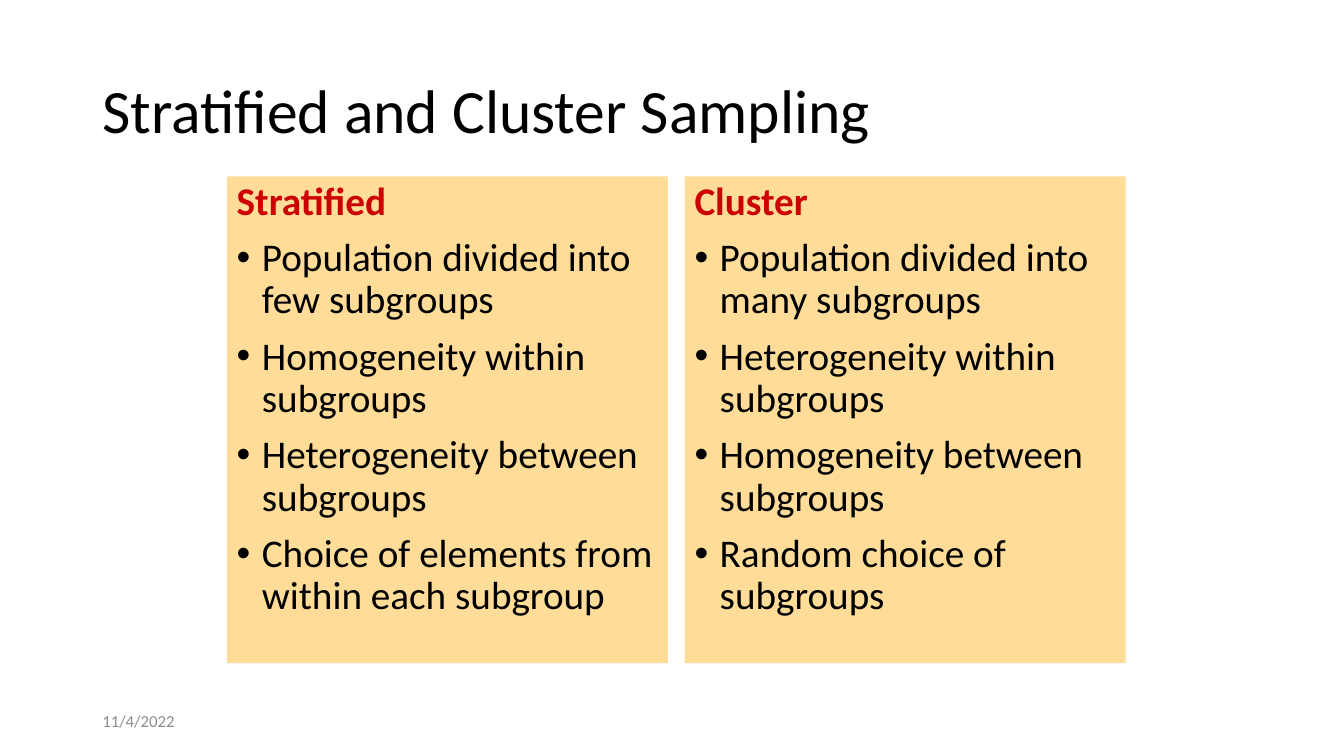
from lxml import etree
from pptx import Presentation
from pptx.dml.color import RGBColor
from pptx.enum.shapes import MSO_SHAPE
from pptx.enum.text import MSO_ANCHOR, PP_ALIGN
from pptx.oxml.ns import qn
from pptx.util import Pt

RECTANGLE = MSO_SHAPE.RECTANGLE
TOP = MSO_ANCHOR.TOP
MIDDLE = MSO_ANCHOR.MIDDLE
LEFT = PP_ALIGN.LEFT

FONT = "Calibri"
BLACK = "000000"
RED = "CC0000"
SAND = "FFDD99"
GREY = "8C8C8C"

PANEL_LEFT, PANEL_TOP = 162, 126
PANEL_WIDTH, PANEL_HEIGHT = 315, 347.75
PANEL_GAP = 12
INDENT = 18

PANELS = [
    ("Stratified", [
        "Population divided into few subgroups",
        "Homogeneity within subgroups",
        "Heterogeneity between subgroups",
        "Choice of elements from within each subgroup",
    ]),
    ("Cluster", [
        "Population divided into many subgroups",
        "Heterogeneity within subgroups",
        "Homogeneity between subgroups",
        "Random choice of subgroups",
    ]),
]


def colour(value):
    return RGBColor.from_string(value)


def style_para(para, size, value, bold=False):
    para.alignment = LEFT
    for span in para.runs:
        span.font.name = FONT
        span.font.size = Pt(size)
        span.font.bold = bold
        span.font.color.rgb = colour(value)


def set_hanging_indent(para, bulleted):
    properties = para._p.get_or_add_pPr()
    properties.set("marL", str(Pt(INDENT)))
    properties.set("indent", str(-Pt(INDENT)))
    if bulleted:
        etree.SubElement(properties, qn("a:buFont")).set("typeface", "Arial")
        etree.SubElement(properties, qn("a:buChar")).set("char", "•")
    else:
        etree.SubElement(properties, qn("a:buNone"))


def add_label(page, text, left, top, width, height, size, value, spacing=1.0):
    box = page.shapes.add_textbox(Pt(left), Pt(top), Pt(width), Pt(height))
    frame = box.text_frame
    frame.text = text
    frame.word_wrap = True
    frame.vertical_anchor = MIDDLE
    para = frame.paragraphs[0]
    para.line_spacing = spacing
    style_para(para, size, value)


def add_panel(page, heading, points, left, top, width, height):
    panel = page.shapes.add_shape(RECTANGLE, Pt(left), Pt(top), Pt(width), Pt(height))
    panel.shadow.inherit = False
    panel.fill.solid()
    panel.fill.fore_color.rgb = colour(SAND)
    panel.line.fill.background()
    frame = panel.text_frame
    frame.text = "\n".join([heading, *points])
    frame.word_wrap = True
    frame.vertical_anchor = TOP
    for index, para in enumerate(frame.paragraphs):
        is_heading = index == 0
        para.line_spacing = 0.9
        para.space_before = Pt(10)
        set_hanging_indent(para, not is_heading)
        style_para(para, 28, RED if is_heading else BLACK, is_heading)


def main():
    deck = Presentation()
    deck.slide_width = Pt(960)
    deck.slide_height = Pt(540)
    page = deck.slides.add_slide(deck.slide_layouts[6])
    add_label(page, "Stratified and Cluster Sampling", 66, 28.75, 828, 104.4, 44, BLACK, 0.9)
    for index, (heading, points) in enumerate(PANELS):
        left = PANEL_LEFT + index * (PANEL_WIDTH + PANEL_GAP)
        add_panel(page, heading, points, left, PANEL_TOP, PANEL_WIDTH, PANEL_HEIGHT)
    add_label(page, "11/4/2022", 66, 500.5, 216, 28.75, 12, GREY)
    deck.save("out.pptx")


if __name__ == "__main__":
    main()
